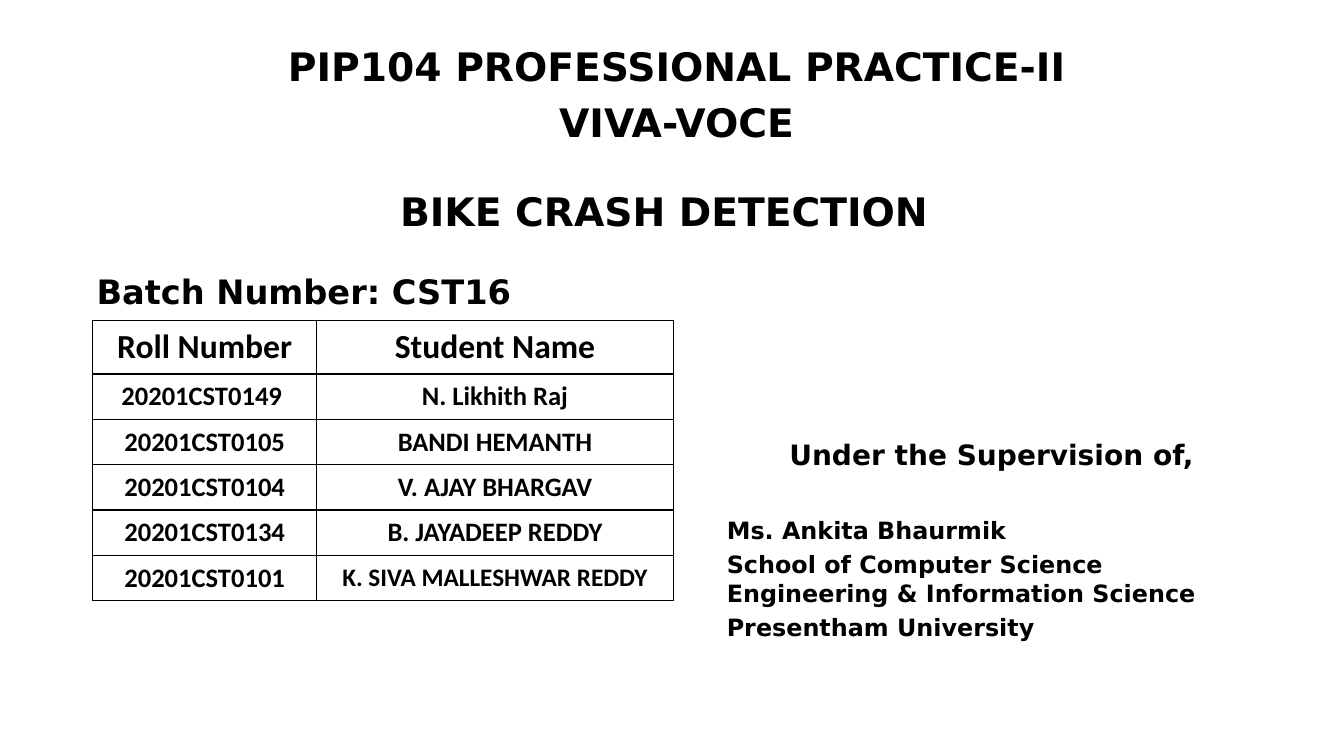
from lxml.etree import SubElement
from pptx import Presentation
from pptx.dml.color import RGBColor
from pptx.enum.text import MSO_ANCHOR, PP_ALIGN
from pptx.oxml.ns import qn
from pptx.util import Pt

PX = 9144  # 100 px to the inch
INK = "000000"
HEAD, BODY = "DejaVu Sans", "Calibri"
MID, LEFT = PP_ALIGN.CENTER, PP_ALIGN.LEFT
TOP, LOW = MSO_ANCHOR.TOP, MSO_ANCHOR.BOTTOM

# box, anchor, top inset, line spacing, paragraphs (text, size, align, space before)
TEXTS = [
    ((92, 175, 1133, 63), LOW, 5, 0.9, [("BIKE CRASH DETECTION", 28, MID, 0)]),
    ((86, 268, 434, 60), TOP, 5, 0.9, [("Batch Number: CST16", 24, LEFT, 0)]),
    ((711, 389, 545, 245), TOP, 45, 1, [
        ("Under the Supervision of,", 20, MID, 0),
        ("Ms. Ankita Bhaurmik", 17, LEFT, 32),
        ("School of Computer Science Engineering & Information Science", 17, LEFT, 4),
        ("Presentham University", 17, LEFT, 4),
    ]),
    ((86, 37, 1170, 113), TOP, 5, 1, [
        ("PIP104 PROFESSIONAL PRACTICE-II", 28, MID, 0),
        ("VIVA-VOCE", 28, MID, 6.5),
    ]),
]

GRID = (92, 318)
COLS = [222, 354]
ROWS = [53] + [45] * 5
# text, size
STUDENTS = [
    [("Roll Number", 24), ("Student Name", 24)],
    [("20201CST0149 ", 19), ("N. Likhith Raj", 19)],
    [("20201CST0105", 19), ("BANDI HEMANTH", 19)],
    [("20201CST0104", 19), ("V. AJAY BHARGAV", 19)],
    [("20201CST0134", 19), ("B. JAYADEEP REDDY", 19)],
    [("20201CST0101", 19), ("K. SIVA MALLESHWAR REDDY", 18)],
]


def color(code):
    return RGBColor.from_string(code)


def write(para, text, size, font, align):
    para.alignment = align
    run = para.add_run()
    run.text = text
    run.font.size = Pt(size)
    run.font.name = font
    run.font.bold = True
    run.font.color.rgb = color(INK)


def add_text(slide, box, anchor, inset, lead, paras):
    frame = slide.shapes.add_textbox(*[n * PX for n in box]).text_frame
    frame.word_wrap = True
    frame.vertical_anchor = anchor
    frame.margin_top = inset * PX
    for i, (text, size, align, gap) in enumerate(paras):
        para = frame.add_paragraph() if i else frame.paragraphs[0]
        para.line_spacing = lead
        para.space_before = Pt(gap)
        write(para, text, size, HEAD, align)


def frame_cell(cell):
    """Draw a thin line on all four sides and leave the cell unfilled."""
    props = cell._tc.get_or_add_tcPr()
    for side in ("a:lnL", "a:lnR", "a:lnT", "a:lnB"):
        line = SubElement(props, qn(side), w=str(Pt(1)))
        fill = SubElement(line, qn("a:solidFill"))
        SubElement(fill, qn("a:srgbClr"), val=INK)
    cell.fill.background()


def add_grid(slide):
    size = (sum(COLS) * PX, sum(ROWS) * PX)
    left, top = (n * PX for n in GRID)
    table = slide.shapes.add_table(len(ROWS), len(COLS), left, top, *size).table
    table.first_row = table.horz_banding = False
    for col, width in zip(table.columns, COLS):
        col.width = width * PX
    for row, height, items in zip(table.rows, ROWS, STUDENTS):
        row.height = height * PX
        for cell, (text, points) in zip(row.cells, items):
            cell.vertical_anchor = MSO_ANCHOR.MIDDLE
            write(cell.text_frame.paragraphs[0], text, points, BODY, MID)
            frame_cell(cell)


def main():
    deck = Presentation()
    deck.slide_width, deck.slide_height = 1333 * PX, 750 * PX
    slide = deck.slides.add_slide(deck.slide_layouts[6])
    for item in TEXTS:
        add_text(slide, *item)
    add_grid(slide)
    deck.save("out.pptx")


if __name__ == "__main__":
    main()
